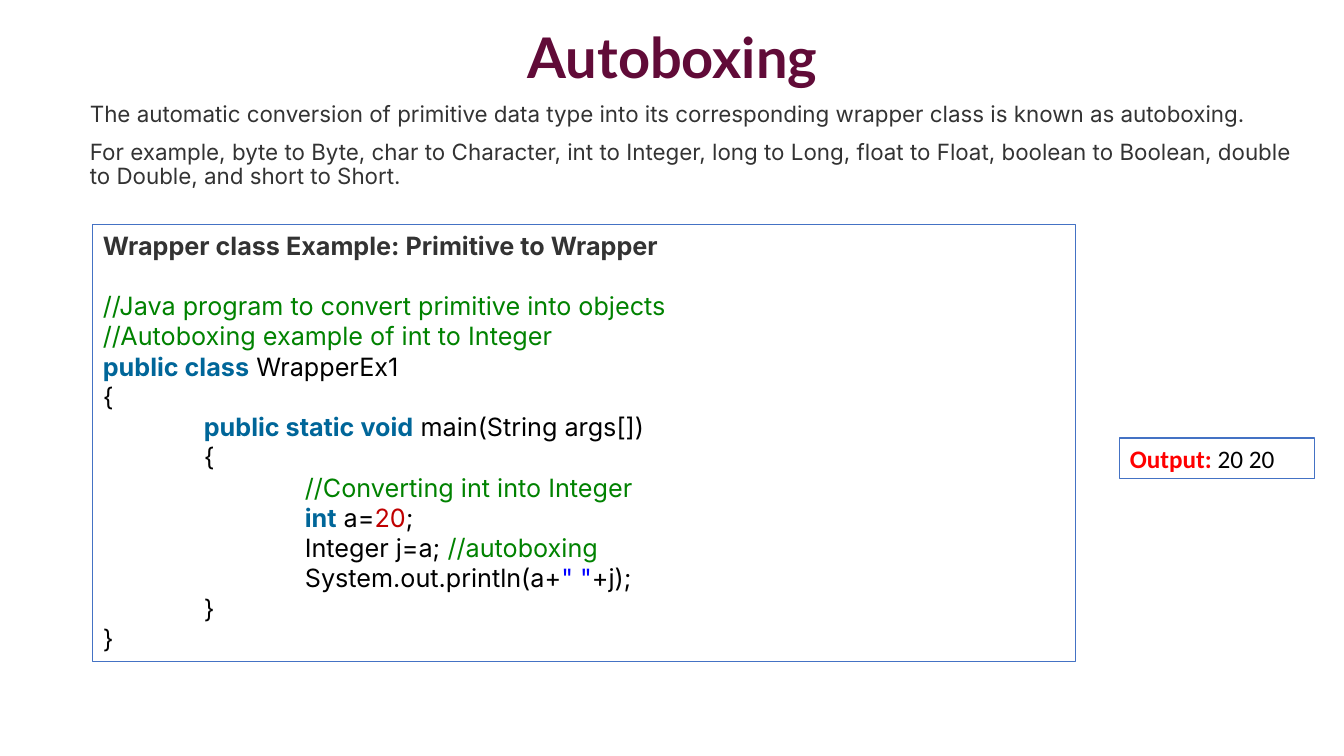
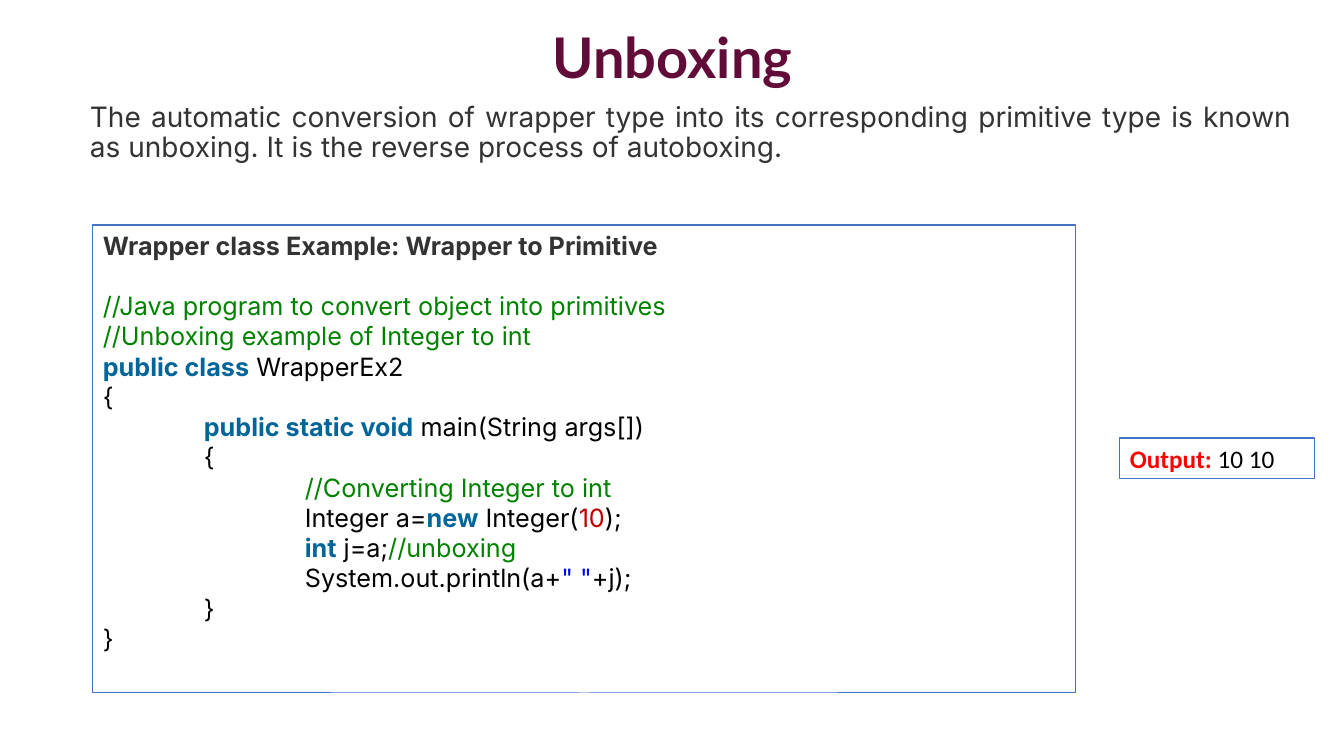
from pptx import Presentation
from pptx.dml.color import RGBColor
from pptx.enum.text import MSO_ANCHOR, PP_ALIGN
from pptx.util import Emu, Pt

PX = 914400 / 100.8
LEFT, CENTER, JUSTIFY = PP_ALIGN.LEFT, PP_ALIGN.CENTER, PP_ALIGN.JUSTIFY
TOP, MIDDLE = MSO_ANCHOR.TOP, MSO_ANCHOR.MIDDLE


def px(n):
    return Emu(round(n * PX))


def rgb(value):
    return RGBColor.from_string(value)


class Deck:
    BORDER = "4472C4"
    INDENT = 101
    CODE_LINE = 21.6
    TITLE = {"name": "Lato", "size": Pt(40), "bold": True, "color": "610B38"}
    BODY = {"name": "Inter", "color": "333333"}
    CODE = {"name": "Inter", "size": Pt(18)}
    OUTPUT = {"name": "Calibri", "size": Pt(18)}
    TOKENS = {
        "heading": {"bold": True, "color": "333333"},
        "comment": {"color": "008200"},
        "keyword": {"bold": True, "color": "006699"},
        "number": {"color": "C00000"},
        "string": {"color": "0000FF"},
        "label": {"bold": True, "color": "FF0000"},
        "plain": {"color": "000000"},
    }

    def __init__(self):
        self.prs = Presentation()
        self.prs.slide_width, self.prs.slide_height = px(1344), px(756)

    def slide(self, title):
        self.s = self.prs.slides.add_slide(self.prs.slide_layouts[6])
        tf = self.frame(93, 23, 1159, 75, anchor=MIDDLE)
        p = self.paragraph(tf, alignment=CENTER, line_spacing=0.9)
        self.run(p, title, self.TITLE)

    def frame(self, x, y, w, h, anchor=TOP, border=False):
        sp = self.s.shapes.add_textbox(px(x), px(y), px(w), px(h))
        if border:
            sp.line.color.rgb = rgb(self.BORDER)
            sp.line.width = Pt(0.75)
        tf = sp.text_frame
        tf.word_wrap = True
        tf.vertical_anchor = anchor
        return tf

    def paragraph(self, tf, **formats):
        """Return the first paragraph while it is empty, then new ones."""
        p = tf.paragraphs[0]
        if p.runs:
            p = tf.add_paragraph()
        for key, value in formats.items():
            setattr(p, key, value)
        return p

    def run(self, p, text, style):
        r = p.add_run()
        r.text = text
        for key, value in style.items():
            if key == "color":
                r.font.color.rgb = rgb(value)
            else:
                setattr(r.font, key, value)

    def tokens(self, p, parts, base):
        for kind, text in parts:
            self.run(p, text, base | self.TOKENS[kind])

    def body(self, texts, size):
        tf = self.frame(80, 98, 1222, 124)
        for text in texts:
            p = self.paragraph(tf, alignment=JUSTIFY, line_spacing=0.9,
                               space_before=Pt(10))
            self.run(p, text, self.BODY | {"size": Pt(size)})

    def code(self, heading, lines, height):
        """Draw the listing; each line is an indent level and its tokens."""
        tf = self.frame(93, 225, 983, height, border=True)
        p = self.paragraph(tf, alignment=LEFT, space_after=Pt(self.CODE_LINE))
        self.tokens(p, [("heading", heading)], self.CODE)
        for level, parts in lines:
            p = self.paragraph(tf, alignment=LEFT)
            p._p.get_or_add_pPr().set("marL", str(px(level * self.INDENT)))
            self.tokens(p, parts, self.CODE)

    def output(self, text):
        p = self.paragraph(self.frame(1120, 438, 195, 41, border=True))
        self.tokens(p, [("label", "Output: "), ("plain", text)], self.OUTPUT)


def program(comments, class_name, statements):
    """Wrap the statements of main() in the class that both examples share."""
    return [
        *[(0, [("comment", text)]) for text in comments],
        (0, [("keyword", "public class"), ("plain", " " + class_name)]),
        (0, [("plain", "{")]),
        (1, [("keyword", "public static void"),
             ("plain", " main(String args[])")]),
        (1, [("plain", "{")]),
        *[(2, parts) for parts in statements],
        (2, [("plain", "System.out.println(a+"), ("string", '" "'),
             ("plain", "+j);")]),
        (1, [("plain", "}")]),
        (0, [("plain", "}")]),
    ]


def main():
    deck = Deck()

    deck.slide("Autoboxing")
    deck.body([
        "The automatic conversion of primitive data type into its "
        "corresponding wrapper class is known as autoboxing.",
        "For example, byte to Byte, char to Character, int to Integer, "
        "long to Long, float to Float, boolean to Boolean, double to Double, "
        "and short to Short.",
    ], size=16)
    deck.code("Wrapper class Example: Primitive to Wrapper", program(
        ["//Java program to convert primitive into objects",
         "//Autoboxing example of int to Integer"],
        "WrapperEx1",
        [
            [("comment", "//Converting int into Integer")],
            [("keyword", "int"), ("plain", " a="), ("number", "20"),
             ("plain", ";")],
            [("plain", "Integer j=a; "), ("comment", "//autoboxing")],
        ]), height=437)
    deck.output("20 20")

    deck.slide("Unboxing")
    deck.body([
        "The automatic conversion of wrapper type into its corresponding "
        "primitive type is known as unboxing. It is the reverse process of "
        "autoboxing.",
    ], size=20)
    deck.code("Wrapper class Example: Wrapper to Primitive", program(
        ["//Java program to convert object into primitives",
         "//Unboxing example of Integer to int"],
        "WrapperEx2",
        [
            [("comment", "//Converting Integer to int")],
            [("plain", "Integer a="), ("keyword", "new"),
             ("plain", " Integer("), ("number", "10"), ("plain", ");")],
            [("keyword", "int"), ("plain", " j=a;"),
             ("comment", "//unboxing")],
        ]), height=468)
    deck.output("10 10")

    deck.prs.save("out.pptx")


if __name__ == "__main__":
    main()
